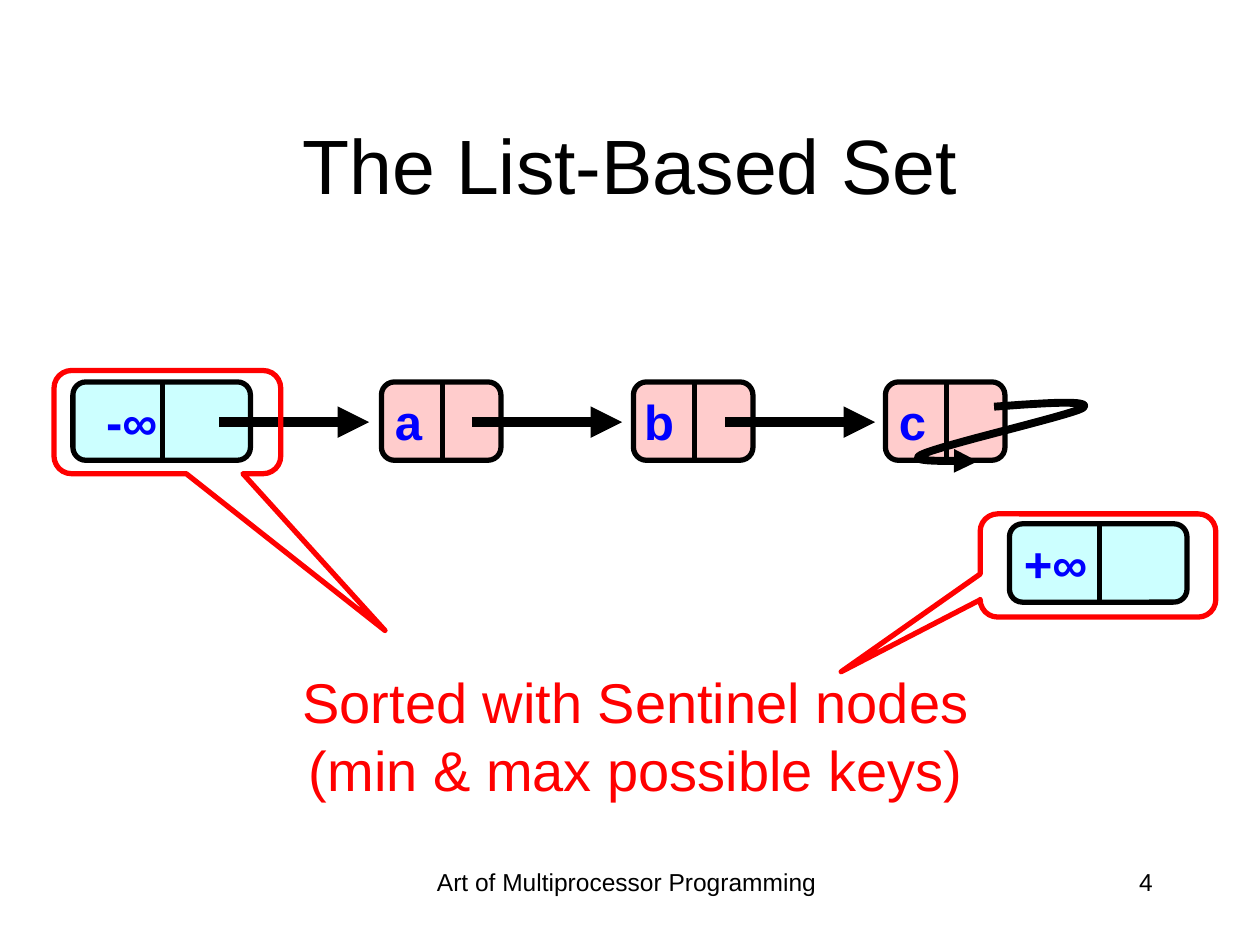
from lxml import etree
from pptx import Presentation
from pptx.dml.color import RGBColor
from pptx.enum.shapes import MSO_CONNECTOR, MSO_SHAPE
from pptx.enum.text import MSO_ANCHOR, PP_ALIGN
from pptx.oxml.ns import qn
from pptx.util import Cm, Pt

STRAIGHT = MSO_CONNECTOR.STRAIGHT
ROUNDED = MSO_SHAPE.ROUNDED_RECTANGLE
CALLOUT = MSO_SHAPE.ROUNDED_RECTANGULAR_CALLOUT
CENTER, RIGHT = PP_ALIGN.CENTER, PP_ALIGN.RIGHT
TOP, MIDDLE = MSO_ANCHOR.TOP, MSO_ANCHOR.MIDDLE
COLORS = {
    "black": "000000",
    "red": "FF0000",
    "blue": "0000FF",
    "sentinel": "CCFFFF",
    "node": "FFCCCC",
}


def write_text(shape, text, size, color="black", bold=False, align=CENTER,
               wrap=True, anchor=TOP):
    frame = shape.text_frame
    frame.word_wrap = wrap
    frame.vertical_anchor = anchor
    frame.text = text
    for paragraph in frame.paragraphs:
        paragraph.alignment = align
        paragraph.font.name = "Arial"
        paragraph.font.size = Pt(size)
        paragraph.font.bold = bold
        paragraph.font.color.rgb = RGBColor.from_string(COLORS[color])


def draw_line(shape, width, color="black", arrow=False):
    """Style a line or outline, without shadow."""
    shape.line.color.rgb = RGBColor.from_string(COLORS[color])
    shape.line.width = Pt(width)
    properties = shape._element.spPr
    if arrow:
        etree.SubElement(properties.find(qn("a:ln")), qn("a:tailEnd"), type="triangle")
    if properties.find(qn("a:effectLst")) is None:
        etree.SubElement(properties, qn("a:effectLst"))


presentation = Presentation()
presentation.slide_width, presentation.slide_height = Cm(25.4), Cm(19.05)
slide = presentation.slides.add_slide(presentation.slide_layouts[5])
shapes = slide.shapes

title = shapes.title
title.left, title.top, title.width, title.height = map(Cm, (1.9, 1.7, 21.6, 3.18))
write_text(title, "The List-Based Set", 44, anchor=MIDDLE)

footer = shapes.add_textbox(*map(Cm, (7.87, 17.35, 9.53, 1.27)))
write_text(footer, "Art of Multiprocessor Programming", 14)
slide_number = shapes.add_textbox(*map(Cm, (18.21, 17.35, 5.28, 1.27)))
write_text(slide_number, "4", 14, align=RIGHT)

# List nodes: label, left, top, width, divider offset, label right edge, label width, fill
NODE_HEIGHT, NODE_TOP, FIRST_NODE, NODE_STEP = 1.58, 7.7, 7.69, 5.08
nodes = [("-∞", 1.47, NODE_TOP, 3.58, 1.81, 1.95, 1.9, "sentinel")]
for index, key in enumerate("abc"):
    left = FIRST_NODE + index * NODE_STEP
    nodes.append((key, left, NODE_TOP, 2.41, 1.23, 1.07, 1.12, "node"))
nodes.append(("+∞", 20.35, 10.56, 3.58, 1.81, 1.82, 1.9, "sentinel"))

for key, left, top, width, divider_offset, label_right, label_width, fill in nodes:
    group = shapes.add_group_shape().shapes
    box = group.add_shape(ROUNDED, *map(Cm, (left, top, width, NODE_HEIGHT)))
    box.fill.solid()
    box.fill.fore_color.rgb = RGBColor.from_string(COLORS[fill])
    draw_line(box, 3)
    divider_x = Cm(left + divider_offset)
    divider = group.add_connector(
        STRAIGHT, divider_x, Cm(top), divider_x, Cm(top + NODE_HEIGHT))
    draw_line(divider, 3)
    label = group.add_textbox(
        *map(Cm, (left + label_right - label_width, top + 0.07, label_width, 1.45)))
    write_text(label, key, 28, color="blue", bold=True, align=RIGHT, wrap=False)

for index in range(3):
    start = 4.42 + index * 5.1
    arrow = shapes.add_connector(STRAIGHT, *map(Cm, (start, 8.51, start + 3.02, 8.51)))
    draw_line(arrow, 6, arrow=True)

# Curved pointer out of node c, as cubic Bezier segments
pointer_start = (20.04, 8.2)
pointer_curves = [
    ((21.01, 8.13), (22.07, 8.05), (21.82, 8.23)),
    ((21.56, 8.38), (18.9, 8.99), (18.57, 9.17)),
    ((18.21, 9.35), (19.48, 9.27), (19.71, 9.3)),
]
CURVE_STEPS = 16
points = []
current = pointer_start
for control_1, control_2, end in pointer_curves:
    for step in range(1, CURVE_STEPS + 1):
        t = step / CURVE_STEPS
        weights = ((1 - t) ** 3, 3 * t * (1 - t) ** 2, 3 * t ** 2 * (1 - t), t ** 3)
        corners = (current, control_1, control_2, end)
        points.append(tuple(
            Cm(sum(weight * corner[axis] for weight, corner in zip(weights, corners)))
            for axis in (0, 1)))
    current = end
builder = shapes.build_freeform(*map(Cm, pointer_start))
builder.add_line_segments(points, close=False)
pointer = builder.convert_to_shape()
pointer.fill.background()
draw_line(pointer, 4.5, arrow=True)

callouts = [
    ((1.09, 7.47, 4.57, 2.08), (0.96, 2.02, 0.17)),
    ((19.76, 10.36, 4.75, 2.08), (-1.09, 1.03, 0.17)),
]
for position, adjustments in callouts:
    callout = shapes.add_shape(CALLOUT, *map(Cm, position))
    for index, value in enumerate(adjustments):
        callout.adjustments[index] = value
    callout.fill.background()
    draw_line(callout, 3, color="red")

caption = shapes.add_textbox(*map(Cm, (2.24, 13.34, 21.16, 2.97)))
write_text(caption, "Sorted with Sentinel nodes\n(min & max possible keys)", 32, color="red")

presentation.save("out.pptx")
